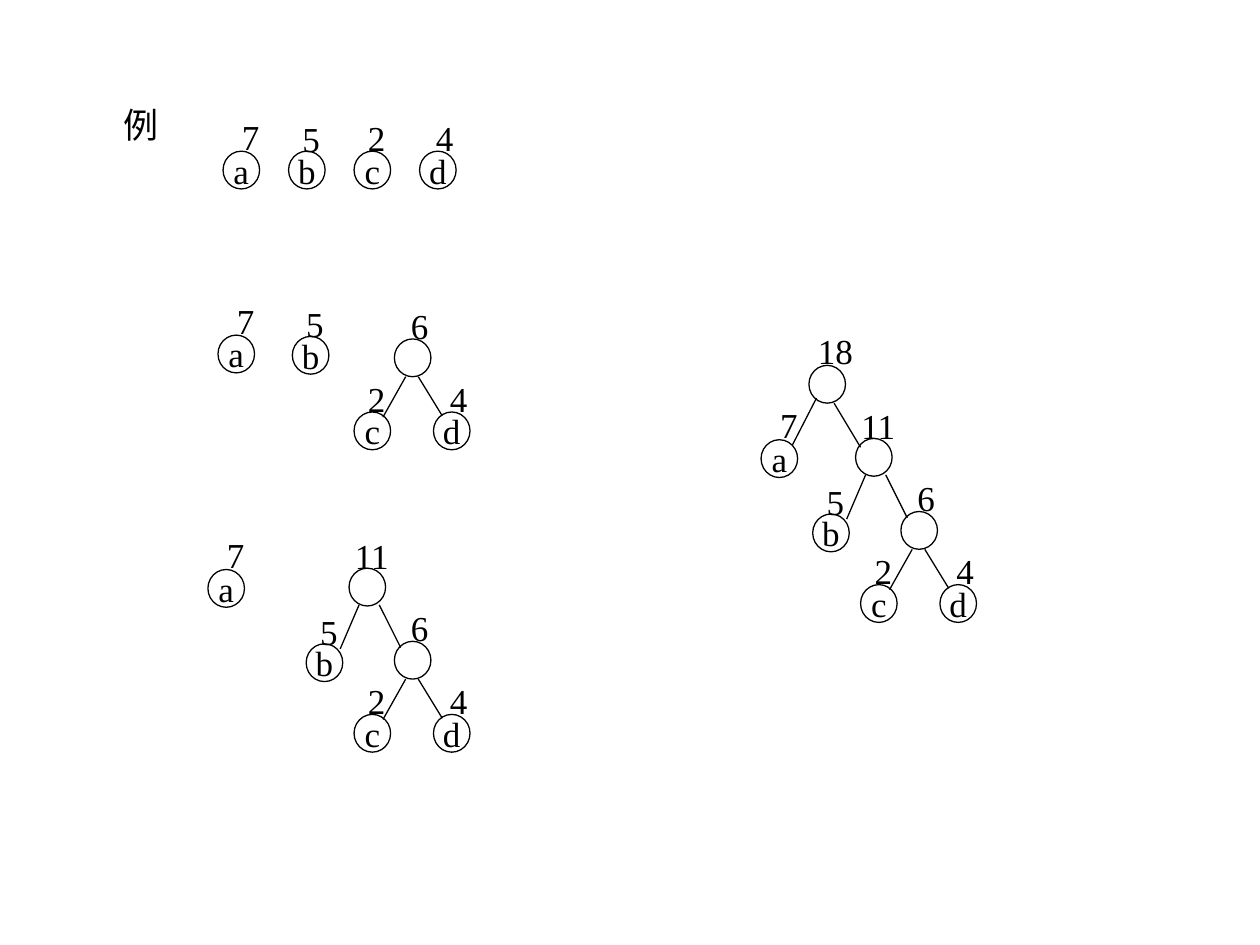
from pptx import Presentation
from pptx.dml.color import RGBColor
from pptx.enum.shapes import MSO_CONNECTOR, MSO_SHAPE
from pptx.enum.text import MSO_ANCHOR, MSO_AUTO_SIZE, PP_ALIGN
from pptx.oxml.ns import qn
from pptx.util import Inches, Pt

OVAL = MSO_SHAPE.OVAL
STRAIGHT = MSO_CONNECTOR.STRAIGHT
MIDDLE = MSO_ANCHOR.MIDDLE
GROW = MSO_AUTO_SIZE.SHAPE_TO_FIT_TEXT
CENTER = PP_ALIGN.CENTER
COLORS = {"ink": "000000"}

# Each node: name, weight, and where the weight box sits from the circle
NODES = {
    "a": ("a", "7", 0.05, -0.34),
    "b": ("b", "5", 0.01, -0.32),
    "c": ("c", "2", 0.01, -0.33),
    "d": ("d", "4", 0.03, -0.33),
    "cd": ("", "6", 0.03, -0.33),
    "bcd": ("", "11", -0.06, -0.32),
    "abcd": ("", "18", -0.03, -0.34),
}
# Children of merged nodes: child, its offset, start and end of the edge,
# all measured from the parent circle's top left corner
CHILDREN = {
    "cd": [("c", (-0.32, 0.58), (0.09, 0.3), (-0.09, 0.62)),
           ("d", (0.31, 0.58), (0.19, 0.3), (0.38, 0.61))],
    "bcd": [("b", (-0.34, 0.6), (0.08, 0.29), (-0.07, 0.64)),
            ("cd", (0.36, 0.58), (0.24, 0.29), (0.41, 0.63))],
    "abcd": [("a", (-0.38, 0.59), (0.06, 0.26), (-0.13, 0.63)),
             ("bcd", (0.37, 0.58), (0.2, 0.3), (0.41, 0.65))],
}
# The forest after each merge: root node and position of its circle
STEPS = [
    [("a", 1.77, 1.2), ("b", 2.29, 1.2), ("c", 2.81, 1.2), ("d", 3.33, 1.2)],
    [("a", 1.73, 2.66), ("b", 2.32, 2.67), ("cd", 3.13, 2.69)],
    [("a", 1.65, 4.52), ("bcd", 2.77, 4.51)],
    [("abcd", 6.42, 2.9)],
]


class TreeSlide:
    font_name = "Times New Roman"
    font_size = Pt(20)
    line_width = Pt(0.75)
    circle_size = (0.29, 0.3)
    label_height = 0.44

    def __init__(self, slide):
        self.slide = slide
        self.shapes = slide.shapes

    def start_group(self):
        self.shapes = self.slide.shapes.add_group_shape().shapes

    def color(self, name):
        return RGBColor.from_string(COLORS[name])

    def set_text(self, frame, text):
        frame.word_wrap = False
        frame.vertical_anchor = MIDDLE
        paragraph = frame.paragraphs[0]
        paragraph.text = text
        paragraph.alignment = CENTER
        paragraph.font.name = self.font_name
        paragraph.font.size = self.font_size
        paragraph.font.color.rgb = self.color("ink")

    def outline(self, line):
        line.color.rgb = self.color("ink")
        line.width = self.line_width

    def label(self, x, y, text, width):
        box = self.shapes.add_textbox(Inches(x), Inches(y), Inches(width),
                                      Inches(self.label_height))
        self.set_text(box.text_frame, text)
        box.text_frame.auto_size = GROW

    def circle(self, x, y, name):
        width, height = self.circle_size
        oval = self.shapes.add_shape(OVAL, Inches(x), Inches(y),
                                     Inches(width), Inches(height))
        oval.shadow.inherit = False
        oval.fill.background()
        self.outline(oval.line)
        if name:
            self.set_text(oval.text_frame, name)

    def edge(self, x1, y1, x2, y2):
        line = self.shapes.add_connector(STRAIGHT, Inches(x1), Inches(y1),
                                         Inches(x2), Inches(y2))
        self.outline(line.line)
        properties = line._element.spPr
        properties.append(properties.makeelement(qn("a:effectLst"), {}))

    def tree(self, node, x, y):
        name, weight, dx, dy = NODES[node]
        self.circle(x, y, name)
        self.label(x + dx, y + dy, weight, 0.2 + 0.14 * len(weight))
        for child, offset, start, end in CHILDREN.get(node, []):
            self.tree(child, x + offset[0], y + offset[1])
            self.edge(x + start[0], y + start[1], x + end[0], y + end[1])


def main():
    deck = Presentation()
    deck.slide_width, deck.slide_height = Inches(10), Inches(7.5)
    huffman = TreeSlide(deck.slides.add_slide(deck.slide_layouts[6]))

    # One group per step, the first one headed by the example label
    for number, forest in enumerate(STEPS):
        huffman.start_group()
        if number == 0:
            huffman.label(0.88, 0.77, "例", 0.48)
        for node, x, y in forest:
            huffman.tree(node, x, y)

    deck.save("out.pptx")


if __name__ == "__main__":
    main()
